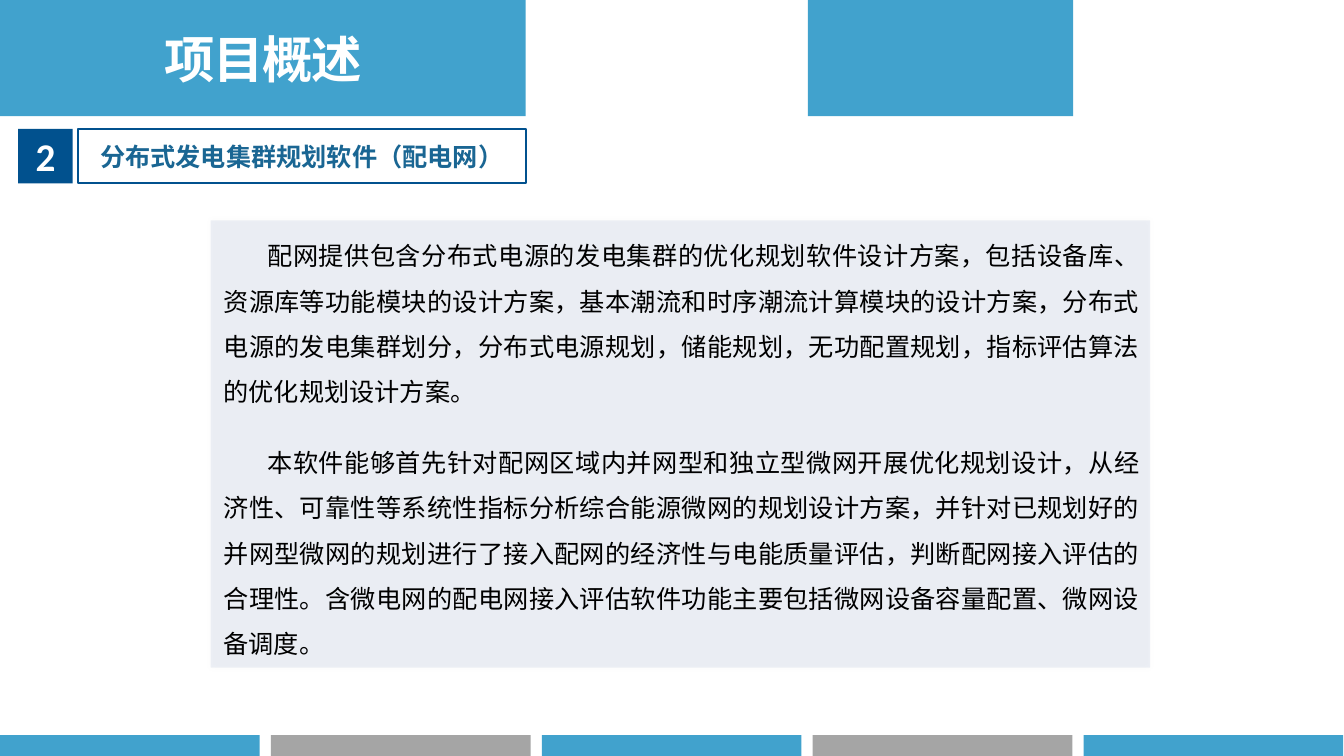
from lxml.etree import SubElement
from pptx import Presentation
from pptx.dml.color import RGBColor
from pptx.enum.shapes import MSO_SHAPE as Preset
from pptx.enum.text import MSO_ANCHOR as Anchor, MSO_AUTO_SIZE as AutoSize, PP_ALIGN as Align
from pptx.oxml.ns import qn
from pptx.util import Pt

BLUE, GREY, NAVY = "41A2CD", "A5A5A5", "01518E"
CJK = "Noto Sans CJK SC"
OVERVIEW = [
    "配网提供包含分布式电源的发电集群的优化规划软件设计方案，包括设备库、资源库等功能模块的设计方案，"
    "基本潮流和时序潮流计算模块的设计方案，分布式电源的发电集群划分，分布式电源规划，储能规划，"
    "无功配置规划，指标评估算法的优化规划设计方案。",
    "本软件能够首先针对配网区域内并网型和独立型微网开展优化规划设计，从经济性、可靠性等系统性指标"
    "分析综合能源微网的规划设计方案，并针对已规划好的并网型微网的规划进行了接入配网的经济性与电能"
    "质量评估，判断配网接入评估的合理性。含微电网的配电网接入评估软件功能主要包括微网设备容量配置、"
    "微网设备调度。",
]


def color(hex_code):
    return RGBColor.from_string(hex_code)


def apply(target, values):
    for name, value in values.items():
        setattr(target, name, value)


def place(shape, left, top, width, height):
    apply(shape, dict(left=Pt(left), top=Pt(top), width=Pt(width), height=Pt(height)))


def paint(shape, fill=None, line=None):
    if fill:
        shape.fill.solid()
        shape.fill.fore_color.rgb = color(fill)
    else:
        shape.fill.background()
    if line:
        shape.line.color.rgb = color(line)
        shape.line.width = Pt(1.5)
    else:
        shape.line.fill.background()


def add_block(slide, box, fill=None, line=None):
    block = slide.shapes.add_shape(Preset.RECTANGLE, *map(Pt, box))
    block.shadow.inherit = False
    paint(block, fill, line)
    return block


def write(paragraph, text, size, hex_code, font=CJK, bold=False, **layout):
    run = paragraph.add_run()
    run.text = text
    apply(run.font, dict(name=font, size=Pt(size), bold=bold))
    run.font.color.rgb = color(hex_code)
    east_asian = SubElement(run.font._element, qn("a:ea"), typeface=font)
    run.font._element.find(qn("a:latin")).addnext(east_asian)
    apply(paragraph, layout)
    return run


def write_label(shape, text, size, hex_code, font=CJK):
    apply(shape.text_frame, dict(word_wrap=True, vertical_anchor=Anchor.MIDDLE,
                                 auto_size=AutoSize.NONE))
    return write(shape.text_frame.paragraphs[0], text, size, hex_code, font, True,
                 alignment=Align.CENTER)


def add_panel(slide, box):
    panel = add_block(slide, box, "174292")
    tint = panel.fill._xPr.find(qn("a:solidFill"))[0]
    SubElement(tint, qn("a:alpha"), val="7000")
    effects = panel._element.spPr.find(qn("a:effectLst"))
    glow = SubElement(effects, qn("a:outerShdw"), blurRad=str(Pt(4)), dist="0", dir="0")
    black = SubElement(glow, qn("a:srgbClr"), val="000000")
    SubElement(black, qn("a:alpha"), val="25000")


def fill_overview(body):
    frame = body.text_frame
    apply(frame, dict(word_wrap=True, vertical_anchor=Anchor.TOP,
                      auto_size=AutoSize.SHAPE_TO_FIT_TEXT))
    for index, text in enumerate(OVERVIEW):
        paragraph = frame.add_paragraph() if index else frame.paragraphs[0]
        write(paragraph, text, 18, "000000", alignment=Align.JUSTIFY,
              line_spacing=1.5, space_before=Pt(6), space_after=Pt(12))
        properties = paragraph._p.get_or_add_pPr()
        properties.set("marL", "0")
        properties.set("indent", str(Pt(31.5)))
        SubElement(properties, qn("a:buNone"))


def main():
    deck = Presentation()
    apply(deck, dict(slide_width=Pt(960), slide_height=Pt(540)))
    slide = deck.slides.add_slide(deck.slide_layouts[1])
    title, body = slide.placeholders

    # Header and footer bands
    add_block(slide, (577, 0, 189.5, 83), BLUE)
    for index in range(5):
        add_block(slide, (193.5 * index, 525, 185.5, 15), GREY if index % 2 else BLUE)

    # Page title
    place(title, 0, 0, 375.5, 83)
    paint(title, BLUE)
    heading = write_label(title, "项目概述", 36, "FFFFFF")
    heading.font._element.set("spc", "-100")

    # Overview text on its tinted panel
    add_panel(slide, (150.5, 157.5, 671, 319.5))
    place(body, 152.5, 157.5, 669, 319.5)
    slide.shapes._spTree.append(body._element)
    fill_overview(body)

    # Section number and name
    number = add_block(slide, (13, 92, 39, 39), NAVY)
    write_label(number, "2", 28, "FFFFFF", "Calibri")
    section = add_block(slide, (55.5, 92, 320, 39), line=NAVY)
    write_label(section, "分布式发电集群规划软件（配电网）", 18, "1A6693")

    deck.save("out.pptx")


if __name__ == "__main__":
    main()
